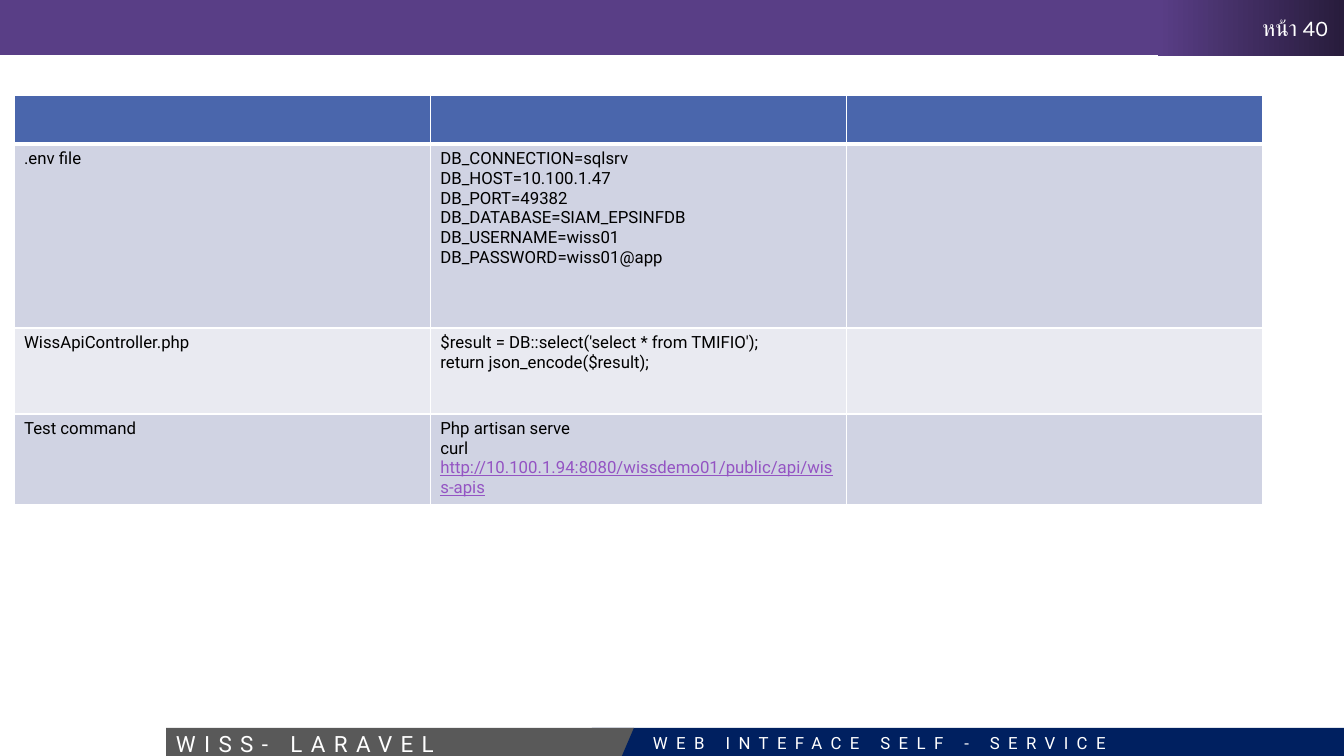
from lxml import etree
from pptx import Presentation
from pptx.dml.color import RGBColor
from pptx.enum.shapes import MSO_SHAPE
from pptx.enum.text import MSO_ANCHOR, PP_ALIGN
from pptx.oxml.ns import qn
from pptx.util import Pt

RECT = MSO_SHAPE.RECTANGLE
TRIANGLE = MSO_SHAPE.RIGHT_TRIANGLE
PARALLELOGRAM = MSO_SHAPE.PARALLELOGRAM
MIDDLE = MSO_ANCHOR.MIDDLE
RIGHT = PP_ALIGN.RIGHT

WHITE = RGBColor(0xFF, 0xFF, 0xFF)
BLACK = RGBColor(0, 0, 0)
NAVY = RGBColor(0x00, 0x20, 0x60)
GREY = RGBColor(0x59, 0x59, 0x59)
PURPLE = RGBColor(0x59, 0x3E, 0x86)
DARK_PURPLE = RGBColor(0x28, 0x1C, 0x3C)
HEADER_BLUE = RGBColor(0x4A, 0x66, 0xAC)
BAND_DARK = RGBColor(0xD0, 0xD3, 0xE3)
BAND_LIGHT = RGBColor(0xE9, 0xEA, 0xF1)
LINK = RGBColor(0x94, 0x54, 0xC3)

SLIDE_W, SLIDE_H = 1344, 756
EMU_PER_PX = 914400 / 100.8

ROW_HEIGHTS = [49, 184, 86, 90]
ROW_FILLS = [HEADER_BLUE, BAND_DARK, BAND_LIGHT, BAND_DARK]
URL = "http://10.100.1.94:8080/wissdemo01/public/api/wiss-apis"
ROWS = [
    [[], [], []],
    [[".env file"],
     ["DB_CONNECTION=sqlsrv", "DB_HOST=10.100.1.47", "DB_PORT=49382",
      "DB_DATABASE=SIAM_EPSINFDB", "DB_USERNAME=wiss01",
      "DB_PASSWORD=wiss01@app"], []],
    [["WissApiController.php"],
     ["$result = DB::select('select * from TMIFIO');",
      "return json_encode($result);"], []],
    [["Test command"], ["Php artisan serve", "curl "], []],
]


def px(n):
    return round(n * EMU_PER_PX)


def box(*lengths):
    return [px(n) for n in lengths]


def set_font(font, size, name, color):
    font.size = Pt(size)
    font.name = name
    font.color.rgb = color


def add_block(s, kind, x, y, w, h, color):
    sp = s.shapes.add_shape(kind, *box(x, y, w, h))
    sp.shadow.inherit = False
    sp.fill.solid()
    sp.fill.fore_color.rgb = color
    sp.line.fill.background()
    return sp


def add_footer_label(s, x, y, w, h, text, size):
    tf = s.shapes.add_textbox(*box(x, y, w, h)).text_frame
    tf.word_wrap = True
    p = tf.paragraphs[0]
    r = p.add_run()
    r.text = text
    r._r.get_or_add_rPr().set("spc", "600")
    set_font(p.font, size, "Roboto", WHITE)


def add_page_tab(s):
    sp = add_block(s, PARALLELOGRAM, 1158, 0, 186, 56, PURPLE)
    sp.adjustments[0] = 0
    sp.fill.gradient()
    sp.fill.gradient_angle = 0
    for stop, color in zip(sp.fill.gradient_stops, (PURPLE, DARK_PURPLE)):
        stop.color.rgb = color
    tf = sp.text_frame
    tf.margin_left = tf.margin_right = tf.margin_top = tf.margin_bottom = 0
    tf.vertical_anchor = MIDDLE
    p = tf.paragraphs[0]
    p.text = "หน้า 40"
    p.alignment = RIGHT
    set_font(p.font, 16, "Karla", WHITE)


def set_borders(cell, top, bottom):
    tcPr = cell._tc.get_or_add_tcPr()
    for side, width in (("L", 1), ("R", 1), ("T", top), ("B", bottom)):
        ln = etree.SubElement(tcPr, qn("a:ln" + side), w=str(Pt(width)))
        fill = etree.SubElement(ln, qn("a:solidFill"))
        etree.SubElement(fill, qn("a:srgbClr"), val=str(WHITE))


def fill_cell(cell, lines, color, top, bottom):
    set_borders(cell, top, bottom)
    cell.fill.solid()
    cell.fill.fore_color.rgb = color
    tf = cell.text_frame
    for i, line in enumerate(lines):
        p = tf.add_paragraph() if i else tf.paragraphs[0]
        p.text = line
        set_font(p.font, 12, "Roboto", BLACK)


def add_settings_table(s):
    frame = s.shapes.add_table(len(ROWS), 3, *box(14, 95, 1249, sum(ROW_HEIGHTS)))
    table = frame.table
    for column in table.columns:
        column.width = px(1249 / 3)
    for i, (row, height, color) in enumerate(zip(ROWS, ROW_HEIGHTS, ROW_FILLS)):
        table.rows[i].height = px(height)
        top = 3 if i == 1 else 1
        bottom = 3 if i == 0 else 1
        for j, lines in enumerate(row):
            fill_cell(table.cell(i, j), lines, color, top, bottom)
    p = table.cell(3, 1).text_frame.paragraphs[-1]
    p.add_line_break()
    r = p.add_run()
    r.text = URL
    r.font.underline = True
    r.font.color.rgb = LINK


def add_footer(s):
    add_block(s, RECT, 592, 728, 752, 28, NAVY)
    add_block(s, RECT, 166, 728, 468, 28, GREY)
    corner = add_block(s, TRIANGLE, 622, 728, 12, 28, NAVY)
    corner._element.spPr.find(qn("a:xfrm")).set("flipH", "1")
    add_footer_label(s, 166, 725, 455, 37, "WISS- LARAVEL", 16)
    add_footer_label(s, 643, 728, 505, 30, "WEB INTEFACE SELF - SERVICE", 12)


def main():
    prs = Presentation()
    prs.slide_width, prs.slide_height = px(SLIDE_W), px(SLIDE_H)
    s = prs.slides.add_slide(prs.slide_layouts[6])
    add_footer(s)
    add_block(s, RECT, 0, 0, SLIDE_W, 55, PURPLE)
    add_page_tab(s)
    add_settings_table(s)
    prs.save("out.pptx")


if __name__ == "__main__":
    main()
